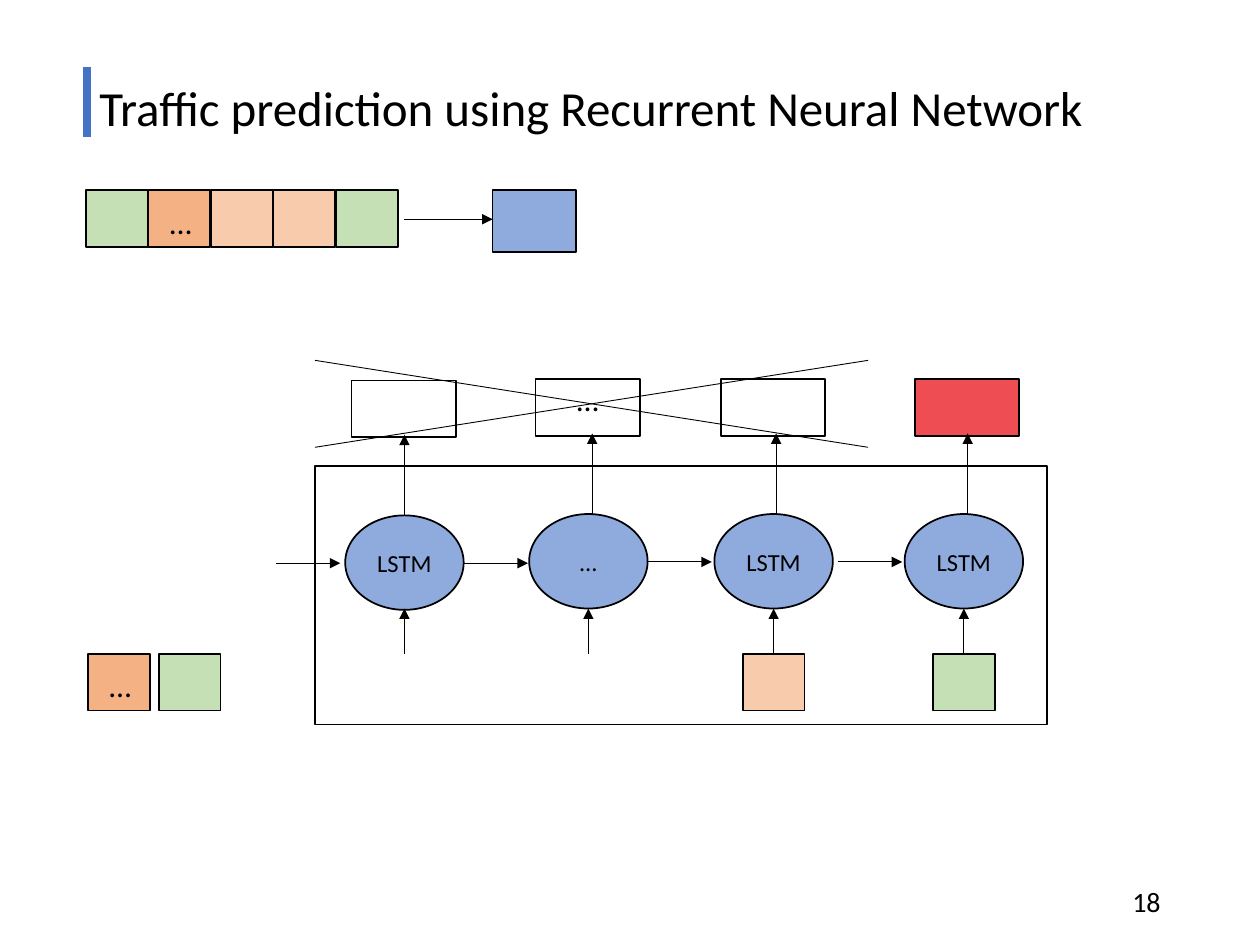
import dataclasses

import pptx
import pptx.util
import pptx.dml.color
import pptx.enum.shapes
import pptx.enum.text
import pptx.oxml.ns
from lxml import etree

Inches = pptx.util.Inches
SHAPE = pptx.enum.shapes.MSO_SHAPE
ALIGN = pptx.enum.text.PP_ALIGN
ANCHOR = pptx.enum.text.MSO_ANCHOR


@dataclasses.dataclass(frozen=True)
class Theme:
    font: str = "Calibri"
    ink: str = "000000"
    accent: str = "4472C4"
    blue: str = "8FAADC"
    green: str = "C5E0B4"
    orange: str = "F4B183"
    peach: str = "F8CBAD"
    red: str = "EE4D54"
    title: int = 28
    dots: int = 18
    number: int = 16
    label: int = 14
    outline: float = 1
    thin: float = 0.5
    bar: float = 4.5


T = Theme()


def rgb(value):
    return pptx.dml.color.RGBColor.from_string(value)


def set_all(target, values):
    for name, value in values.items():
        setattr(target, name, value)


def write(tf, text, size, align=ALIGN.LEFT, anchor=ANCHOR.TOP, wrap=True, spacing=1.0):
    set_all(tf, {"word_wrap": wrap, "vertical_anchor": anchor})
    p = tf.paragraphs[0]
    set_all(p, {"alignment": align, "line_spacing": spacing})
    r = p.add_run()
    r.text = text
    set_all(r.font, {"name": T.font, "size": pptx.util.Pt(size)})
    r.font.color.rgb = rgb(T.ink)


def add_text(s, box, text, size, **layout):
    sp = s.shapes.add_textbox(*map(Inches, box))
    write(sp.text_frame, text, size, **layout)


def add_dots(s, x, y):
    add_text(s, (x, y, 0.38, 0.4), "…", T.dots, wrap=False)


def add_box(s, box, fill=None, kind=SHAPE.RECTANGLE, text=None):
    sp = s.shapes.add_shape(kind, *map(Inches, box))
    sp.shadow.inherit = False
    if fill:
        sp.fill.solid()
        sp.fill.fore_color.rgb = rgb(fill)
    else:
        sp.fill.background()
    sp.line.color.rgb = rgb(T.ink)
    sp.line.width = pptx.util.Pt(T.outline)
    if text:
        write(sp.text_frame, text, T.label, align=ALIGN.CENTER, anchor=ANCHOR.MIDDLE)


def add_cell(s, x, y, fill):
    add_box(s, (x, y, 0.49, 0.45), fill)


def add_line(s, start, end, color=T.ink, width=T.thin, arrow=False):
    line = s.shapes.add_connector(
        pptx.enum.shapes.MSO_CONNECTOR.STRAIGHT, *map(Inches, (*start, *end)))
    line.line.color.rgb = rgb(color)
    line.line.width = pptx.util.Pt(width)
    qn = pptx.oxml.ns.qn
    if arrow:
        etree.SubElement(line.line._get_or_add_ln(), qn("a:tailEnd"), type="triangle")
    etree.SubElement(line._element.spPr, qn("a:effectLst"))


def add_sequence(s):
    for i, fill in enumerate((T.green, T.orange, T.peach, T.peach, T.green)):
        add_cell(s, 0.68 + 0.497 * i, 1.51, fill)
    add_dots(s, 1.25, 1.56)
    add_box(s, (3.91, 1.51, 0.66, 0.49), T.blue)
    add_line(s, (3.21, 1.74), (3.91, 1.74), arrow=True)


def add_pending_inputs(s):
    add_cell(s, 0.7, 5.19, T.orange)
    add_cell(s, 1.26, 5.19, T.green)
    add_dots(s, 0.77, 5.24)


def add_unit(s, label, x, y, out_x, box_x, box_y, out_fill, in_fill):
    add_box(s, (x - 0.47, y, 0.94, 0.75), T.blue, SHAPE.OVAL, label)
    add_box(s, (box_x, box_y, 0.83, 0.45), out_fill)
    add_line(s, (x, 5.19), (x, 4.83), arrow=True)
    add_line(s, (out_x, y), (out_x, box_y + 0.43), arrow=True)
    if in_fill:
        add_cell(s, x - 0.245, 5.19, in_fill)


def add_network(s):
    add_box(s, (2.5, 3.7, 5.81, 2.05))
    units = (
        ("LSTM", 3.21, 4.09, 3.21, 2.79, 3.02, None, None),
        ("…", 4.67, 4.08, 4.7, 4.25, 3.01, None, None),
        ("LSTM", 6.14, 4.08, 6.16, 5.72, 3.01, None, T.peach),
        ("LSTM", 7.65, 4.08, 7.68, 7.26, 3.01, T.red, T.green),
    )
    for unit in units:
        add_unit(s, *unit)
    add_dots(s, 4.48, 2.97)
    for x, y in ((2.19, 4.47), (3.68, 4.47), (5.14, 4.46), (6.65, 4.46)):
        add_line(s, (x, y), (x + 0.51, y), arrow=True)
    for y1, y2 in ((2.86, 3.55), (3.55, 2.86)):
        add_line(s, (2.5, y1), (6.89, y2))


def main():
    prs = pptx.Presentation()
    set_all(prs, {"slide_width": Inches(10), "slide_height": Inches(7.5)})
    s = prs.slides.add_slide(prs.slide_layouts[6])
    add_text(s, (0.69, 0.4, 8.62, 0.96), "Traffic prediction using Recurrent Neural Network",
             T.title, anchor=ANCHOR.MIDDLE, spacing=0.9)
    add_text(s, (7.06, 6.95, 2.25, 0.4), "18", T.number,
             align=ALIGN.RIGHT, anchor=ANCHOR.MIDDLE)
    add_line(s, (0.69, 0.53), (0.69, 1.09), T.accent, T.bar)
    add_sequence(s)
    add_pending_inputs(s)
    add_network(s)
    prs.save("out.pptx")


if __name__ == "__main__":
    main()
